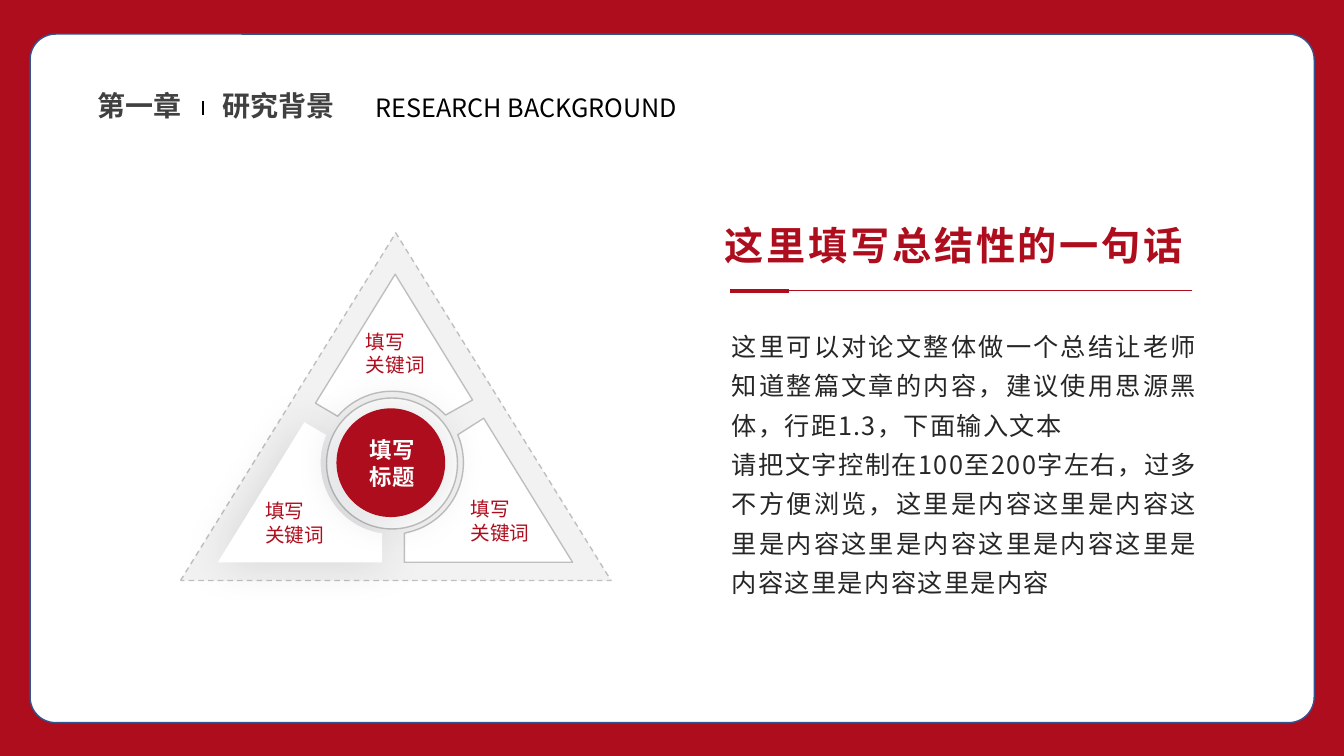
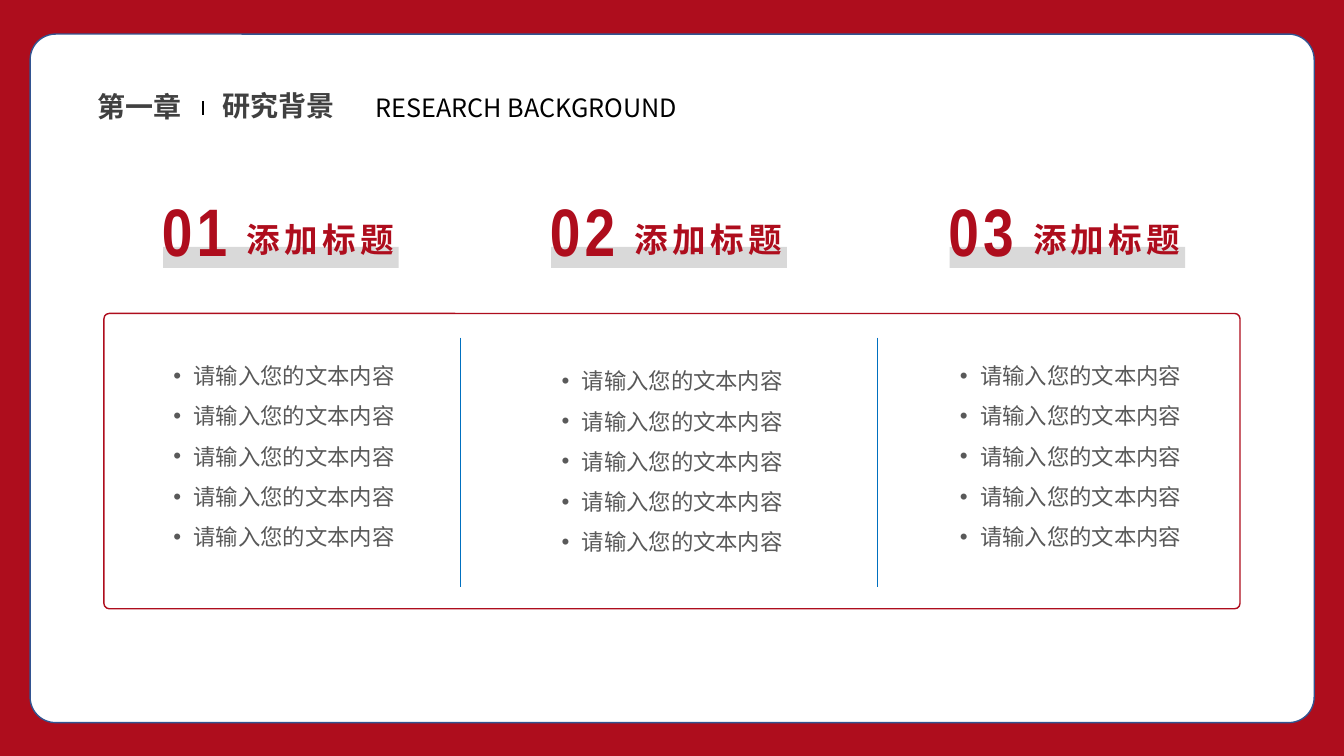
from dataclasses import dataclass
from math import cos, radians, sin

from lxml import etree
from pptx import Presentation
from pptx.dml.color import RGBColor
from pptx.enum import dml, shapes, text
from pptx.oxml import ns
from pptx.util import Cm, Pt


@dataclass(frozen=True)
class Theme:
    red: str = "AE0D1D"
    white: str = "FFFFFF"
    black: str = "000000"
    heading: str = "404040"
    body: str = "262626"
    bullet: str = "595959"
    pale: str = "F2F2F2"
    band: str = "D9D9D9"
    outline: str = "BFBFBF"
    frame: str = "325491"
    divider: str = "0070C0"
    shadow: str = "222A35"
    font: str = "Noto Sans CJK SC"
    number_font: str = "Arial Narrow"
    label_size: int = 14
    small_size: int = 16
    body_size: int = 18
    title_size: int = 20
    column_size: int = 24
    summary_size: int = 28
    number_size: int = 48


T = Theme()
SHAPE = shapes.MSO_SHAPE
ALIGN = text.PP_ALIGN

CHAPTER = "第一章"
TITLE = "研究背景"
SUBTITLE = "RESEARCH BACKGROUND"

SUMMARY = "这里填写总结性的一句话"
SUMMARY_BODY = [
    "这里可以对论文整体做一个总结让老师知道整篇文章的内容，建议使用思源黑体，行距1.3，下面输入文本",
    "请把文字控制在100至200字左右，过多不方便浏览，" + "这里是内容" * 8,
]
CORE = ["填写", "标题"]
KEYWORD = "填写\v关键词"
KEYWORD_SPOTS = [(8.97, 8.18), (11.61, 12.4), (6.43, 12.45)]
CORE_CENTER, CORE_RADIUS = (9.88, 11.66), 1.8
SECTORS = [
    dict(before=[(9.96, 6.91), (11.91, 10.08), (11.23, 10.46)], arc=(-45, -135),
         after=[(8.51, 10.49), (7.95, 10.16)], raised=False),
    dict(before=[(7.67, 10.64), (8.2, 10.95)], arc=(203, 102),
         after=[(9.63, 13.44), (9.63, 14.17), (5.49, 14.17)], raised=True),
    dict(before=[(12.19, 10.54), (14.43, 14.17), (10.19, 14.17), (10.19, 13.44)],
         arc=(78, -23), after=[], raised=False),
]

COLUMN_ITEMS = ["请输入您的文本内容"] * 5
COLUMNS = [
    dict(number="01", title="添加标题", left=4.11, list_top=8.79),
    dict(number="02", title="添加标题", left=13.89, list_top=8.92),
    dict(number="03", title="添加标题", left=23.93, list_top=8.79),
]
DIVIDERS = [11.61, 22.12]


def rgb(value):
    return RGBColor.from_string(value)


def style(sp, fill, line=None, width=1):
    sp.shadow.inherit = False
    sp.fill.solid()
    sp.fill.fore_color.rgb = rgb(fill)
    if line:
        sp.line.color.rgb = rgb(line)
        sp.line.width = Pt(width)
    else:
        sp.line.fill.background()
    return sp


def add_shape(s, kind, box, fill, line=None, radius=None):
    sp = s.shapes.add_shape(kind, *map(Cm, box))
    if radius is not None:
        sp.adjustments[0] = radius
    return style(sp, fill, line)


def add_glow(sp):
    effects = sp.element.spPr.find(ns.qn("a:effectLst"))
    glow = etree.SubElement(effects, ns.qn("a:outerShdw"), blurRad=str(Pt(32)),
                            dist="0", dir="0", algn="ctr", rotWithShape="0")
    color = etree.SubElement(glow, ns.qn("a:srgbClr"), val=T.shadow)
    etree.SubElement(color, ns.qn("a:alpha"), val="15000")


def add_line(s, start, end, color, width):
    line = s.shapes.add_connector(shapes.MSO_CONNECTOR.STRAIGHT, *map(Cm, start + end))
    line.line.color.rgb = rgb(color)
    line.line.width = Pt(width)
    etree.SubElement(line.element.spPr, ns.qn("a:effectLst"))


def set_bullet(p):
    pPr = p._p.get_or_add_pPr()
    pPr.set("marL", str(Cm(0.79)))
    pPr.set("indent", str(-Cm(0.51)))
    etree.SubElement(pPr, ns.qn("a:buFont"), typeface="Arial")
    etree.SubElement(pPr, ns.qn("a:buChar"), char="•")


def write(tf, lines, size, color, bold=False, align=ALIGN.LEFT, font=T.font,
          wrap=False, inset=True, spacing=None, tracking=0, bullet=False):
    tf.text = "\n".join(lines)
    tf.word_wrap = wrap
    tf.auto_size = text.MSO_AUTO_SIZE.SHAPE_TO_FIT_TEXT
    tf.vertical_anchor = text.MSO_ANCHOR.TOP
    if not inset:
        tf.margin_left = tf.margin_top = tf.margin_right = tf.margin_bottom = 0
    for p in tf.paragraphs:
        p.alignment = align
        if spacing:
            p.line_spacing = spacing
        if bullet:
            set_bullet(p)
        for r in p.runs:
            r.font.size, r.font.bold, r.font.name = Pt(size), bold, font
            r.font.color.rgb = rgb(color)
            rPr = r._r.get_or_add_rPr()
            etree.SubElement(rPr, ns.qn("a:ea"), typeface=font)
            if tracking:
                rPr.set("spc", str(tracking * 100))


def add_text(s, box, lines, size, color, **options):
    write(s.shapes.add_textbox(*map(Cm, box)).text_frame, lines, size, color, **options)


def add_slide(prs, chapter_top):
    s = prs.slides.add_slide(prs.slide_layouts[5])
    add_shape(s, SHAPE.ROUNDED_RECTANGLE, (0.76, 0.86, 32.36, 17.35),
              T.white, T.frame, 0.037)
    title = s.shapes.title
    s.shapes.element.append(title.element)
    title.left, title.top, title.width, title.height = map(Cm, (5.36, 2.11, 3.35, 1.12))
    write(title.text_frame, [TITLE], T.title_size, T.heading, bold=True)
    add_text(s, (2.21, chapter_top, 2.64, 1.12), [CHAPTER], T.title_size, T.heading,
             bold=True)
    add_text(s, (9.22, 2.21, 10.31, 1.02), [SUBTITLE], T.body_size, T.black, wrap=True)
    add_line(s, (5.11, 2.54), (5.11, 2.9), T.black, 1.5)
    return s


def arc_points(start, end, steps=24):
    cx, cy = CORE_CENTER
    angles = [radians(start + (end - start) * i / steps) for i in range(steps + 1)]
    return [(cx + CORE_RADIUS * cos(a), cy + CORE_RADIUS * sin(a)) for a in angles]


def add_sector(s, sector):
    outline = sector["before"] + arc_points(*sector["arc"]) + sector["after"]
    points = [(Cm(x), Cm(y)) for x, y in outline]
    builder = s.shapes.build_freeform(*points[0])
    builder.add_line_segments(points[1:], close=True)
    sp = style(builder.convert_to_shape(), T.white,
               None if sector["raised"] else T.outline)
    if sector["raised"]:
        add_glow(sp)


def build_summary(prs):
    s = add_slide(prs, 2.11)
    triangle = add_shape(s, SHAPE.ISOSCELES_TRIANGLE, (4.55, 5.87, 10.85, 8.76),
                         T.pale, T.outline)
    triangle.line.dash_style = dml.MSO_LINE.DASH
    add_shape(s, SHAPE.OVAL, (8.23, 10.03, 3.3, 3.3), T.white, T.outline)
    for sector in SECTORS:
        add_sector(s, sector)
    add_glow(add_shape(s, SHAPE.OVAL, (8.48, 10.29, 2.74, 2.74), T.red))
    add_text(s, (9.07, 10.87, 1.65, 1.63), CORE, T.small_size, T.white, bold=True)
    for spot in KEYWORD_SPOTS:
        add_text(s, spot + (2.01, 1.45), [KEYWORD], T.label_size, T.red)
    add_text(s, (18.01, 5.44, 13.61, 1.45), [SUMMARY], T.summary_size, T.red,
             bold=True, wrap=True, tracking=2)
    add_line(s, (30.05, 7.32), (19.2, 7.32), T.red, 0.5)
    add_line(s, (19.89, 7.34), (18.39, 7.34), T.red, 3)
    add_text(s, (18.19, 8, 12.24, 8.03), SUMMARY_BODY, T.body_size, T.body,
             align=ALIGN.JUSTIFY, wrap=True, spacing=1.3, tracking=1)


def build_columns(prs):
    s = add_slide(prs, 2.13)
    add_shape(s, SHAPE.ROUNDED_RECTANGLE, (2.62, 7.9, 28.63, 7.44),
              T.white, T.red, 0.018)
    for column in COLUMNS:
        left = column["left"]
        add_shape(s, SHAPE.RECTANGLE, (left, 6.22, 5.94, 0.53), T.band)
        add_text(s, (left - 0.03, 4.78, 2.03, 2.06), [column["number"]], T.number_size,
                 T.red, bold=True, font=T.number_font, inset=False, tracking=3)
        add_text(s, (left + 2.11, 5.51, 3.84, 1.02), [column["title"]], T.column_size,
                 T.red, bold=True, inset=False, tracking=3)
        add_text(s, (left - 0.67, column["list_top"], 7.16, 5.03), COLUMN_ITEMS,
                 T.small_size, T.bullet, align=ALIGN.CENTER, wrap=True, inset=False,
                 spacing=1.5, bullet=True)
    for x in DIVIDERS:
        add_line(s, (x, 8.51), (x, 14.78), T.divider, 0.5)


def main():
    prs = Presentation()
    prs.slide_width, prs.slide_height = Cm(33.87), Cm(19.05)
    background = prs.slide_master.background.fill
    background.solid()
    background.fore_color.rgb = rgb(T.red)
    build_summary(prs)
    build_columns(prs)
    prs.save("out.pptx")


if __name__ == "__main__":
    main()
